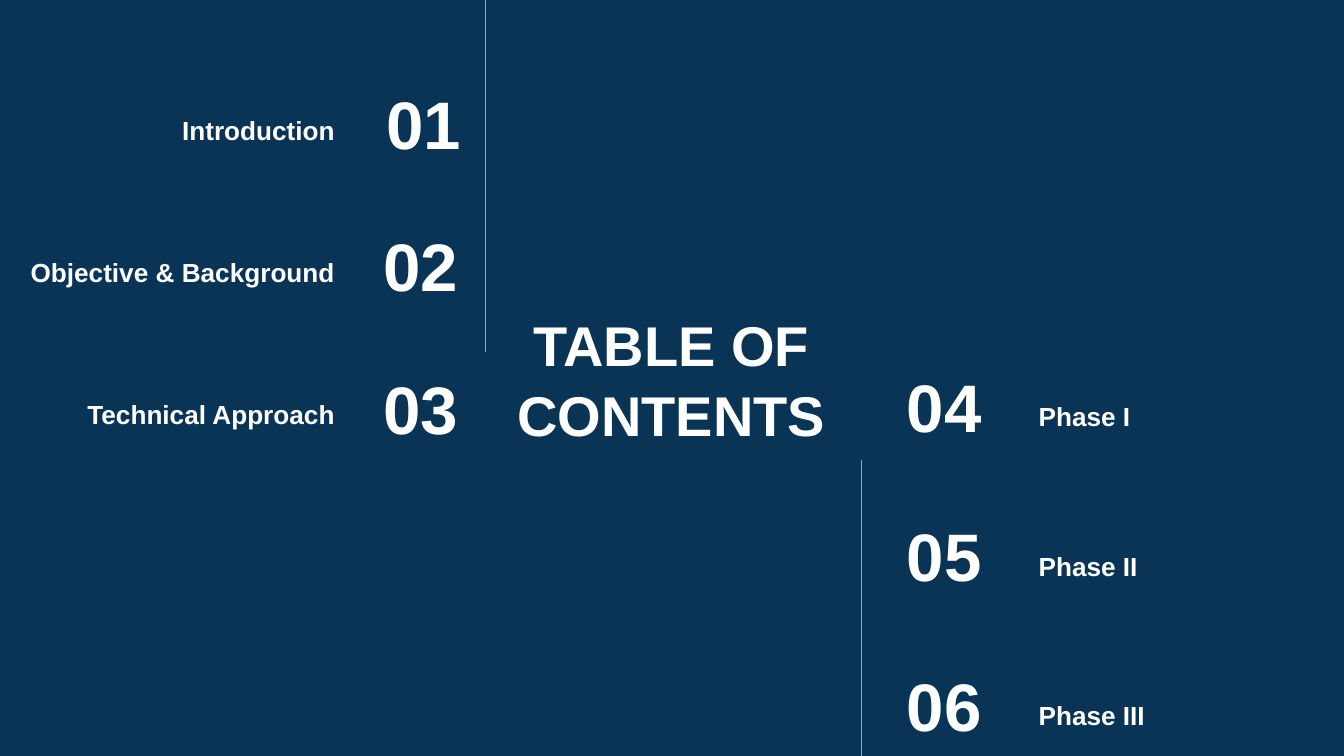
from dataclasses import dataclass

from lxml import etree
from pptx import Presentation
from pptx.dml.color import RGBColor
from pptx.enum.shapes import MSO_CONNECTOR
from pptx.enum.text import MSO_ANCHOR as Anchor, PP_ALIGN as Align
from pptx.oxml.ns import qn
from pptx.slide import Slide
from pptx.util import Cm, Pt

NAVY = RGBColor(0x0A, 0x34, 0x55)
WHITE = RGBColor(0xFF, 0xFF, 0xFF)
TEAL = RGBColor(0x6E, 0xBD, 0xC4)

ROW_HEIGHT = 1.6


@dataclass(frozen=True)
class Entry:
    label: str
    label_width: float = 5.49
    number_shift: float = 0


@dataclass(frozen=True)
class Column:
    """One side of the contents; lengths in centimetres."""
    entries: tuple[Entry, ...]
    first_number: int
    align: Align
    top: float
    pitch: float
    label_rise: float
    number_left: float
    number_width: float
    label_edge: float  # the edge to which the labels are aligned


COLUMNS = (
    Column((Entry("Introduction", number_shift=0.05),
            Entry("Objective & Background", label_width=6.3),
            Entry("Technical Approach")),
           1, Align.RIGHT, 1.52, 2.69, 0.12, 5.84, 3.07, 6.58),
    Column((Entry("Phase I"), Entry("Phase II"), Entry("Phase III")),
           4, Align.LEFT, 6.86, 2.83, 0.05, 16.89, 2.97, 19.38),
)


def add_text(page: Slide, text: str, left: float, top: float, width: float,
             height: float, size: float, align: Align, anchor: Anchor,
             line_spacing: float = 1.0) -> None:
    box = page.shapes.add_textbox(Cm(left), Cm(top), Cm(width), Cm(height))
    frame = box.text_frame
    frame.word_wrap = True
    frame.vertical_anchor = anchor
    frame.margin_left = frame.margin_right = Cm(0.25)
    frame.margin_top = frame.margin_bottom = Cm(0.25)
    frame.text = text
    para = frame.paragraphs[0]
    para.alignment = align
    para.line_spacing = line_spacing
    for span in para.runs:
        span.font.name = "Arial"
        span.font.size = Pt(size)
        span.font.bold = True
        span.font.color.rgb = WHITE


def add_rule(page: Slide, x: float, top: float, bottom: float) -> None:
    rule = page.shapes.add_connector(
        MSO_CONNECTOR.STRAIGHT, Cm(x), Cm(top), Cm(x), Cm(bottom))
    rule.line.color.rgb = TEAL
    rule.line.width = Pt(0.75)
    etree.SubElement(rule._element.spPr, qn("a:effectLst"))


def add_column(page: Slide, column: Column) -> None:
    for row, entry in enumerate(column.entries):
        top = column.top + row * column.pitch
        add_text(page, f"{column.first_number + row:02}",
                 column.number_left + entry.number_shift, top,
                 column.number_width, ROW_HEIGHT, 36, column.align,
                 Anchor.MIDDLE)
        label_left = column.label_edge
        if column.align == Align.RIGHT:
            label_left -= entry.label_width
        add_text(page, entry.label, label_left, top - column.label_rise,
                 entry.label_width, ROW_HEIGHT, 14, column.align,
                 Anchor.BOTTOM)


def main() -> None:
    deck = Presentation()
    deck.slide_width, deck.slide_height = Cm(25.4), Cm(14.29)
    page = deck.slides.add_slide(deck.slide_layouts[6])
    page.background.fill.solid()
    page.background.fill.fore_color.rgb = NAVY

    # Heading
    add_text(page, "TABLE OF CONTENTS", 9.4, 5.84, 6.58, 2.62, 30,
             Align.CENTER, Anchor.MIDDLE, line_spacing=1.04)

    # Numbered entries
    for column in COLUMNS:
        add_column(page, column)

    # Vertical rules
    add_rule(page, 9.17, 0, 6.65)
    add_rule(page, 16.28, 8.69, 14.29)

    deck.save("out.pptx")


if __name__ == "__main__":
    main()
